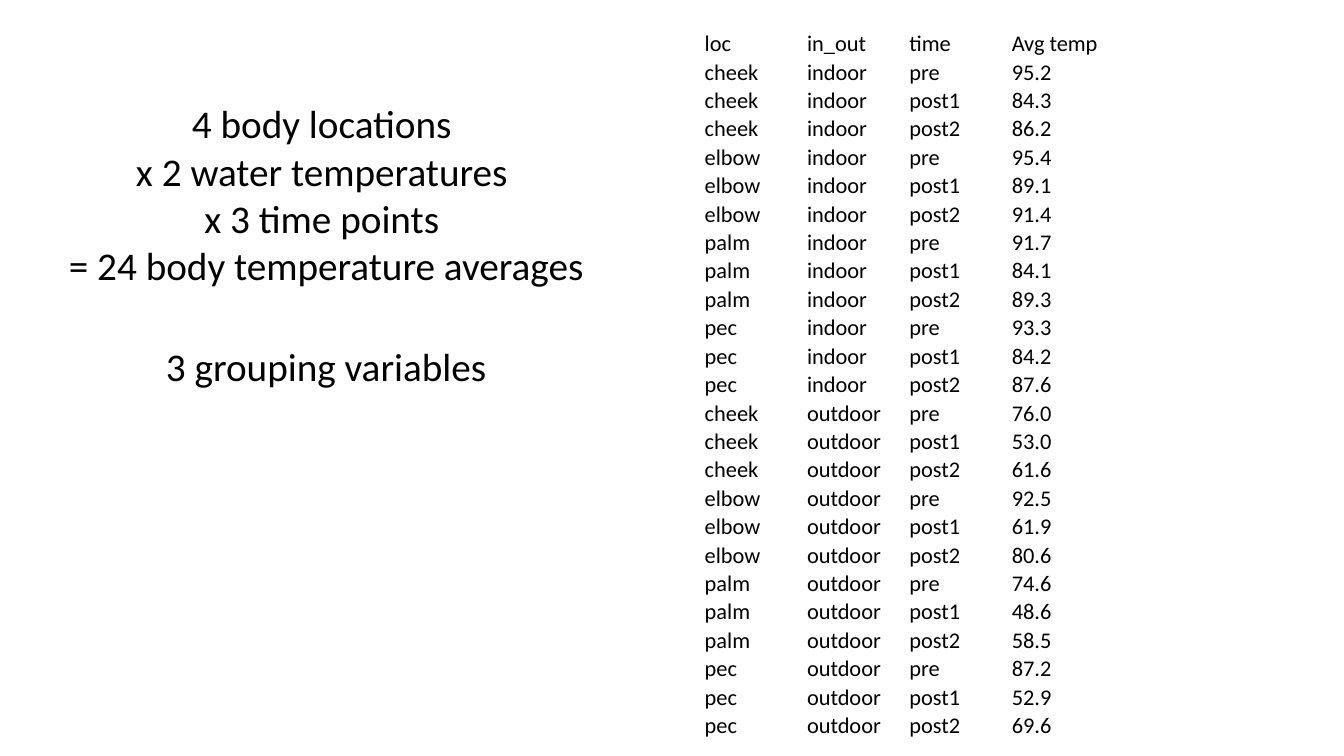
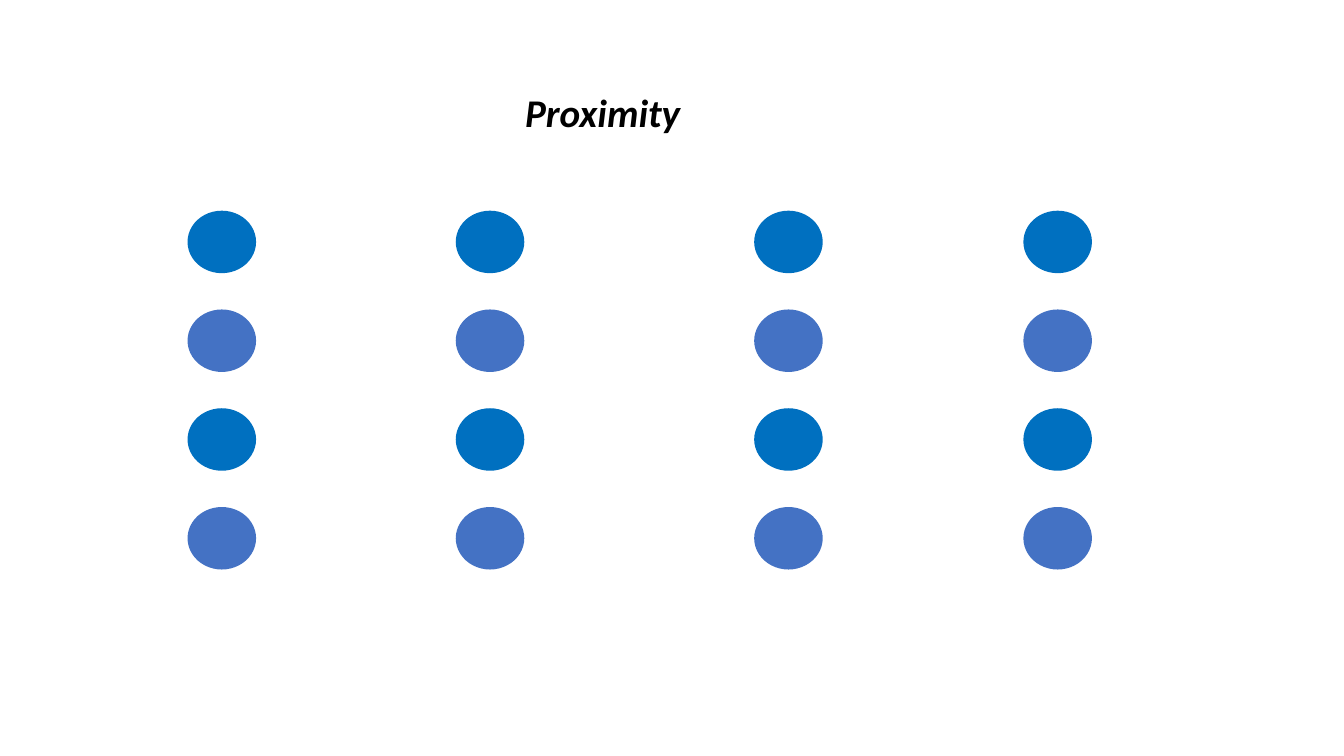
from itertools import product

from pptx import Presentation
from pptx.dml.color import RGBColor
from pptx.enum.shapes import MSO_SHAPE as SHAPE
from pptx.enum.text import MSO_ANCHOR as ANCHOR, MSO_AUTO_SIZE as AUTO, PP_ALIGN as ALIGN
from pptx.util import Inches, Pt

BLACK, BLUE, INDIGO = "000000", "0070C0", "4472C4"
BODY = {"name": "Calibri", "size": Pt(28)}
TITLE = {**BODY, "bold": True, "italic": True}
CELL = {**BODY, "size": Pt(16)}


def rgb(value):
    """Turn a hex string into a colour."""
    return RGBColor.from_string(value)


def write(tf, lines, style, align=ALIGN.LEFT):
    """Write one paragraph per line in the given font style."""
    for i, line in enumerate(lines):
        p = tf.add_paragraph() if i else tf.paragraphs[0]
        p.alignment = align
        r = p.add_run()
        r.text = line
        r.font.color.rgb = rgb(BLACK)
        for name, value in style.items():
            setattr(r.font, name, value)


prs = Presentation()
prs.slide_width, prs.slide_height = Inches(13.33), Inches(7.5)
blank = prs.slide_layouts[6]

# Slide 1: table of averages and the design behind it
s = prs.slides.add_slide(blank)
averages = [
    "95.2", "84.3", "86.2", "95.4", "89.1", "91.4",
    "91.7", "84.1", "89.3", "93.3", "84.2", "87.6",
    "76.0", "53.0", "61.6", "92.5", "61.9", "80.6",
    "74.6", "48.6", "58.5", "87.2", "52.9", "69.6",
]
groups = product(["indoor", "outdoor"], ["cheek", "elbow", "palm", "pec"],
                 ["pre", "post1", "post2"])
rows = [("loc", "in_out", "time", "Avg temp")]
rows += [(loc, water, time, avg) for (water, loc, time), avg in zip(groups, averages)]

frame = s.shapes.add_table(len(rows), 4, Inches(6.98), Inches(0.29),
                           Inches(4.06), Inches(6.93))
table = frame.table
table.first_row = table.horz_banding = False
cell_format = {
    "vertical_anchor": ANCHOR.BOTTOM,
    "margin_left": Inches(0.01), "margin_right": Inches(0.01),
    "margin_top": Inches(0.01), "margin_bottom": 0,
}
for i, row in enumerate(rows):
    table.rows[i].height = Inches(0.22)
    for j, text in enumerate(row):
        cell = table.cell(i, j)
        cell.fill.background()
        for name, value in cell_format.items():
            setattr(cell, name, value)
        write(cell.text_frame, [text], CELL)
frame.height = Inches(6.93)

design = ["4 body locations ", "x 2 water temperatures ", "x 3 time points ",
          "= 24 body temperature averages"]
for top, height, lines in [(0.94, 1.99, design), (3.35, 0.57, ["3 grouping variables"])]:
    tf = s.shapes.add_textbox(Inches(0.12), Inches(top), Inches(6.23), Inches(height)).text_frame
    tf.word_wrap = True
    tf.auto_size = AUTO.SHAPE_TO_FIT_TEXT
    write(tf, lines, BODY, ALIGN.CENTER)

# Slide 2: columns of dots grouped by proximity
s = prs.slides.add_slide(blank)
tf = s.shapes.add_textbox(Inches(5.11), Inches(0.83), Inches(1.76), Inches(0.57)).text_frame
tf.word_wrap = False
tf.auto_size = AUTO.SHAPE_TO_FIT_TEXT
write(tf, ["Proximity"], TITLE)

for left, row in product([1.86, 4.52, 7.48, 10.15], range(4)):
    sp = s.shapes.add_shape(SHAPE.OVAL, Inches(left), Inches(2.09 + 0.98 * row),
                            Inches(0.68), Inches(0.62))
    sp.shadow.inherit = False
    sp.fill.solid()
    sp.fill.fore_color.rgb = rgb(INDIGO if row % 2 else BLUE)
    sp.line.fill.background()

prs.save("out.pptx")
